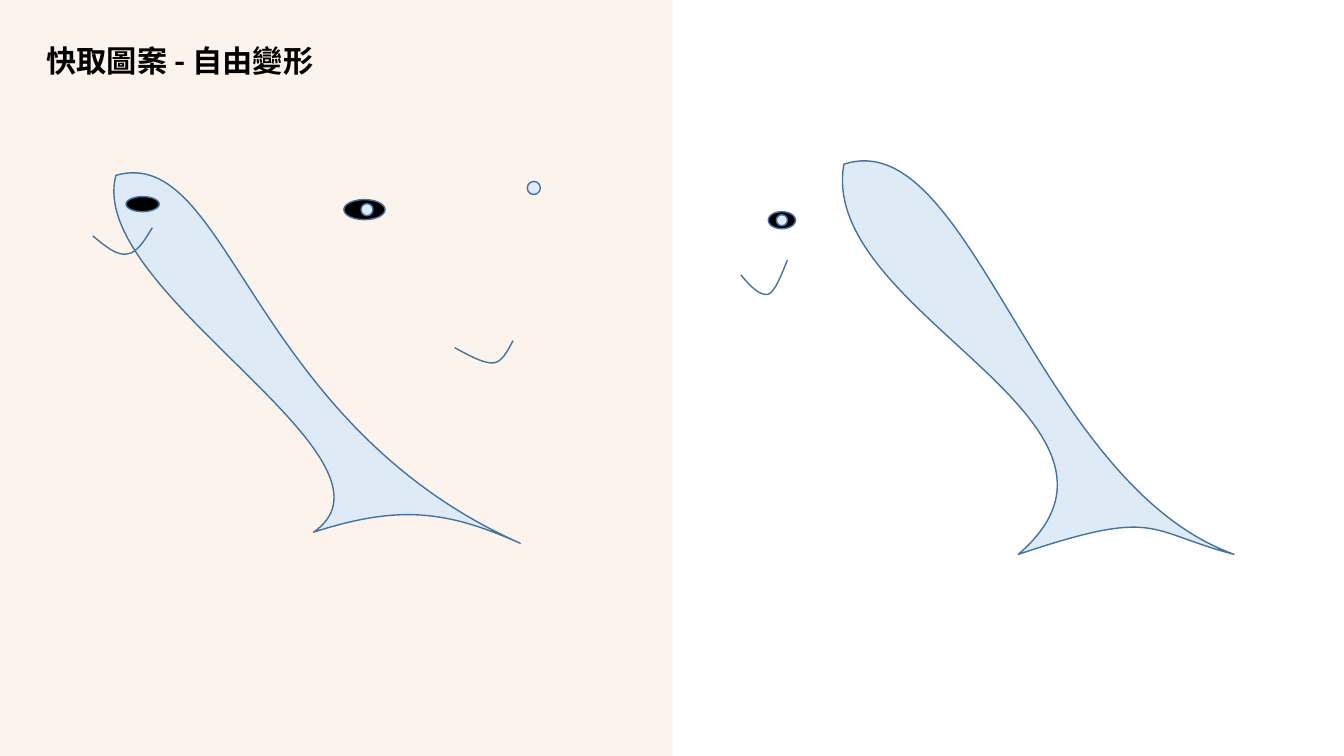
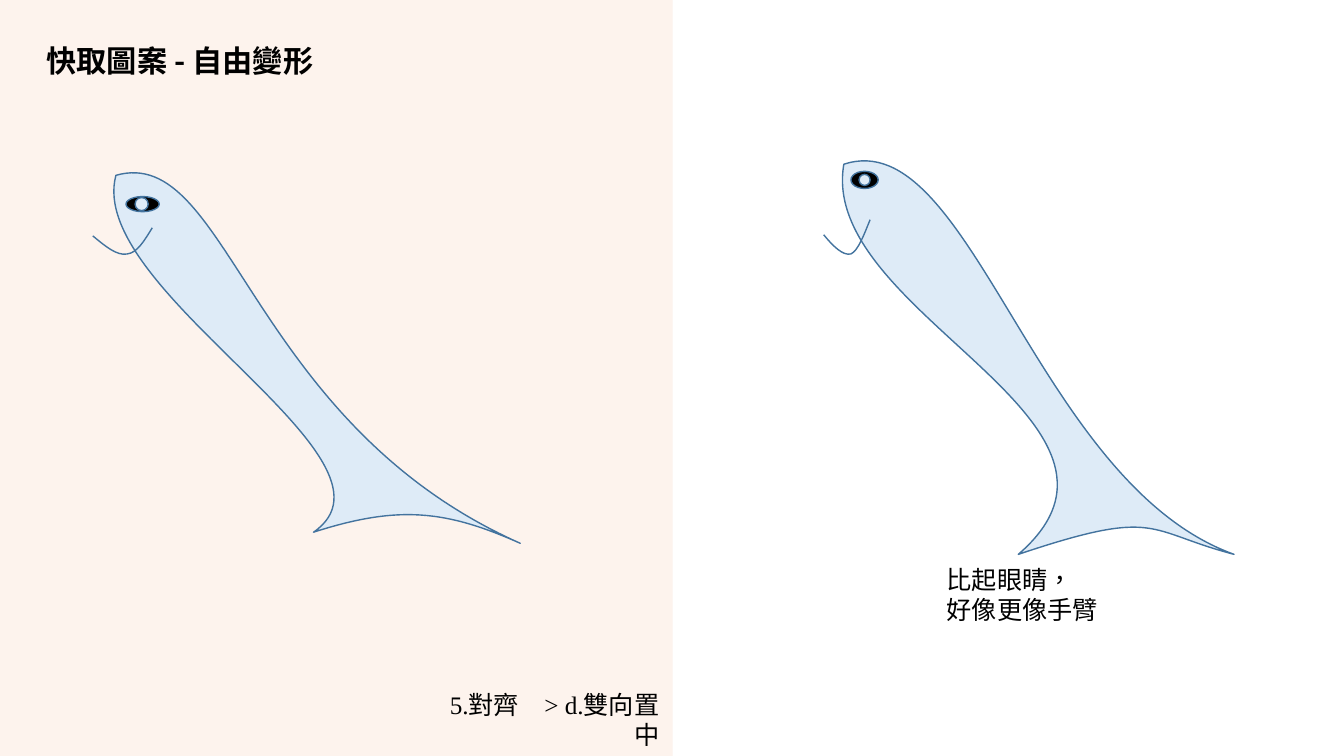
"""Build two slides that draw fish from freeform curves and ovals."""
from lxml import etree
from pptx import Presentation
from pptx.dml.color import RGBColor
from pptx.enum.lang import MSO_LANGUAGE_ID
from pptx.enum.shapes import MSO_CONNECTOR, MSO_SHAPE
from pptx.enum.text import MSO_ANCHOR, MSO_AUTO_SIZE, PP_ALIGN
from pptx.oxml.ns import qn
from pptx.util import Inches, Pt

RECT, OVAL, ROUNDED = MSO_SHAPE.RECTANGLE, MSO_SHAPE.OVAL, MSO_SHAPE.ROUNDED_RECTANGLE
STRAIGHT = MSO_CONNECTOR.STRAIGHT
TOP, MIDDLE = MSO_ANCHOR.TOP, MSO_ANCHOR.MIDDLE
LEFT, RIGHT = PP_ALIGN.LEFT, PP_ALIGN.RIGHT
FIXED, GROW = MSO_AUTO_SIZE.NONE, MSO_AUTO_SIZE.SHAPE_TO_FIT_TEXT
CHINESE = MSO_LANGUAGE_ID.TRADITIONAL_CHINESE

color = RGBColor.from_string
BLACK, PALE_BLUE, OUTLINE = "000000", "DEEBF7", "43739E"
PEACH, PALE_PEACH = "F4B183", "FBE5D6"
TITLE_FONT, BODY_FONT = "Noto Sans CJK SC", "Times New Roman"
CURVE_STEPS = 40

LEFT_BODY = [(3.11, 5.28), (4.15, 4.56), (0.84, 2.89), (1.15, 1.74), (2.27, 1.42),
             (2.46, 4.19), (5.16, 5.39), (4.42, 5.06), (3.95, 5.01), (3.11, 5.28)]
LEFT_MOUTH = [(0.92, 2.34), (1.04, 2.44), (1.16, 2.54), (1.26, 2.52),
              (1.36, 2.51), (1.43, 2.39), (1.51, 2.26)]
SPARE_MOUTH = [(4.51, 3.45), (4.66, 3.53), (4.8, 3.61), (4.9, 3.6),
               (5, 3.59), (5.07, 3.4), (5.09, 3.38)]
RIGHT_BODY = [(10.1, 5.5), (11.5, 5.03), (11.36, 5.27), (12.24, 5.5), (10.27, 4.79),
              (9.63, 1.21), (8.37, 1.63), (8.11, 3.11), (11.63, 4.18), (10.1, 5.5)]
RIGHT_MOUTH = [(7.35, 2.73), (7.44, 2.84), (7.54, 2.94), (7.62, 2.92),
               (7.69, 2.89), (7.75, 2.73), (7.81, 2.58)]
LEFT_EYE = (1.25, 1.95, 0.33, 0.15)
RIGHT_EYE = [(BLACK, (7.62, 2.1, 0.27, 0.17)), (PALE_BLUE, (7.7, 2.13, 0.11, 0.11))]
FACE_SHIFT = (0.82, -0.4)


def add_oval(shapes, fill, box, shift=(0, 0)):
    """Add an outlined oval, moved by shift."""
    left, top, width, height = box
    oval = shapes.add_shape(OVAL, Inches(left + shift[0]), Inches(top + shift[1]),
                            Inches(width), Inches(height))
    oval.shadow.inherit = False
    oval.fill.solid()
    oval.fill.fore_color.rgb = color(fill)
    oval.line.color.rgb = color(OUTLINE)
    oval.line.width = Pt(1)


def add_curve(shapes, points, shift=(0, 0)):
    """Add a chain of cubic curves, filled when it ends where it starts."""
    knots = [(Inches(x + shift[0]), Inches(y + shift[1])) for x, y in points]
    closed = knots[0] == knots[-1]
    samples = []
    for first in range(0, len(knots) - 1, 3):
        for step in range(1, CURVE_STEPS + 1):
            t = step / CURVE_STEPS
            weights = ((1 - t) ** 3, 3 * t * (1 - t) ** 2, 3 * t ** 2 * (1 - t), t ** 3)
            samples.append([sum(w * knot[axis] for w, knot in zip(weights, knots[first:first + 4]))
                            for axis in (0, 1)])
    builder = shapes.build_freeform(*knots[0], scale=1.0)
    builder.add_line_segments(samples, close=closed)
    curve = builder.convert_to_shape()
    outline = curve.element.find(".//" + qn("a:path"))
    for segment in outline.findall(qn("a:lnTo")):
        outline.remove(segment)
    for first in range(1, len(knots), 3):
        bezier = etree.Element(qn("a:cubicBezTo"))
        for x, y in knots[first:first + 3]:
            etree.SubElement(bezier, qn("a:pt"), x=str(x - curve.left), y=str(y - curve.top))
        outline.insert(1 + first // 3, bezier)
    curve.shadow.inherit = False
    if closed:
        curve.fill.solid()
        curve.fill.fore_color.rgb = color(PALE_BLUE)
    else:
        curve.fill.background()
    curve.line.color.rgb = color(OUTLINE)
    curve.line.width = Pt(1)


prs = Presentation()
prs.slide_width, prs.slide_height = Inches(13.33), Inches(7.5)
layout = prs.slide_layouts[5]
for slot in list(layout.placeholders):
    if slot.placeholder_format.idx:
        slot.element.getparent().remove(slot.element)
    else:
        slot.left, slot.top = Inches(0.36), Inches(0.4)
        slot.width, slot.height = Inches(5.95), Inches(0.44)

parts_slide, joined_slide = [prs.slides.add_slide(layout) for _ in range(2)]

half = Inches(6.67)
band = parts_slide.shapes.add_shape(RECT, 0, 0, half, prs.slide_height)
band.shadow.inherit = False
band.fill.solid()
band.fill.fore_color.rgb = color(PEACH)
band.line.fill.background()
divider = parts_slide.shapes.add_connector(STRAIGHT, half, prs.slide_height, half, 0)
divider.line.color.rgb = color(PALE_PEACH)
divider.line.width = Pt(0.25)
etree.SubElement(divider.element.spPr, qn("a:effectLst"))
for position, (backdrop, alpha) in enumerate([(band, "14000"), (divider, "50000")], 2):
    tint = backdrop.element.spPr.find(".//" + qn("a:srgbClr"))
    etree.SubElement(tint, qn("a:alpha"), val=alpha)
    layout.shapes.element.insert(position, backdrop.element)

loose = parts_slide.shapes
add_curve(loose, LEFT_BODY)
add_curve(loose, LEFT_MOUTH)
for fill, box in [(BLACK, LEFT_EYE), (PALE_BLUE, (5.23, 1.8, 0.13, 0.13)),
                  (BLACK, (3.41, 1.98, 0.41, 0.2)), (PALE_BLUE, (3.58, 2.02, 0.12, 0.12))]:
    add_oval(loose, fill, box)
add_curve(loose, SPARE_MOUTH)
add_curve(loose, RIGHT_BODY)
loose_eye = loose.add_group_shape().shapes
for fill, box in RIGHT_EYE:
    add_oval(loose_eye, fill, box)
add_curve(loose, RIGHT_MOUTH)

left_fish = joined_slide.shapes.add_group_shape().shapes
add_curve(left_fish, LEFT_BODY)
add_curve(left_fish, LEFT_MOUTH)
add_oval(left_fish, BLACK, LEFT_EYE)
add_oval(left_fish, PALE_BLUE, (1.34, 1.96, 0.13, 0.13))

step_note = joined_slide.shapes.add_shape(ROUNDED, Inches(4.15), Inches(6.91),
                                          Inches(2.51), Inches(0.45))
step_note.shadow.inherit = False
step_note.fill.background()
step_note.line.fill.background()

right_fish = joined_slide.shapes.add_group_shape().shapes
add_curve(right_fish, RIGHT_BODY)
for fill, box in RIGHT_EYE:
    add_oval(right_fish, fill, box, FACE_SHIFT)
add_curve(right_fish, RIGHT_MOUTH, FACE_SHIFT)

remark = joined_slide.shapes.add_textbox(Inches(9.29), Inches(5.55), Inches(1.72), Inches(0.71))

title_font = {"size": Pt(21.6), "name": TITLE_FONT, "bold": True, "language_id": CHINESE}
body_font = {"size": Pt(18), "name": BODY_FONT, "language_id": CHINESE}
title_frame = {"vertical_anchor": MIDDLE, "auto_size": FIXED, "word_wrap": True}
note_frame = {"vertical_anchor": MIDDLE, "auto_size": GROW, "word_wrap": True}
remark_frame = {"vertical_anchor": TOP, "auto_size": GROW, "word_wrap": True}
title_lines = {"alignment": LEFT, "line_spacing": 0.9}
heading = "快取圖案 - 自由變形"

for holder, words, frame_format, line_format, font_format in [
    (parts_slide.shapes.title, heading, title_frame, title_lines, title_font),
    (joined_slide.shapes.title, heading, title_frame, title_lines, title_font),
    (step_note, "5.對齊　> d.雙向置中", note_frame, {"alignment": RIGHT}, body_font),
    (remark, "比起眼睛，\n好像更像手臂", remark_frame, {"alignment": LEFT}, body_font),
]:
    frame = holder.text_frame
    frame.text = words
    for key, value in frame_format.items():
        setattr(frame, key, value)
    for line in frame.paragraphs:
        for key, value in line_format.items():
            setattr(line, key, value)
        font = line.runs[0].font
        for key, value in font_format.items():
            setattr(font, key, value)
        font.color.rgb = color(BLACK)
        if font.name == TITLE_FONT:
            latin = line.runs[0].font._element.find(qn("a:latin"))
            east_asian = etree.Element(qn("a:ea"), typeface=TITLE_FONT)
            latin.addnext(east_asian)

prs.save("out.pptx")
